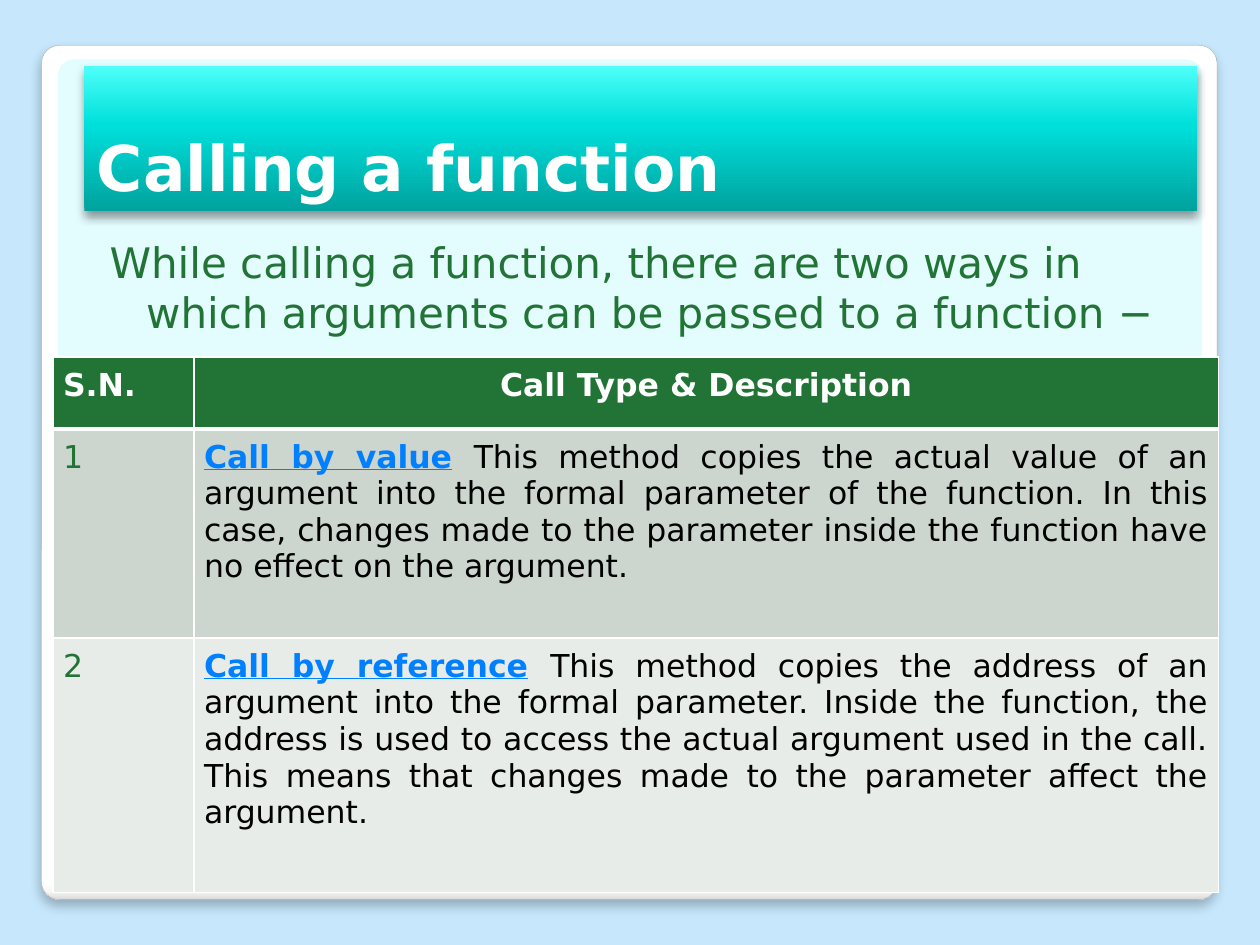
from lxml import etree
from pptx import Presentation, util as u
from pptx.dml.color import RGBColor
from pptx.enum import shapes, text
from pptx.oxml import ns

W, H = u.Inches(10), u.Inches(7.5)
FONT = "DejaVu Sans"
SKY = RGBColor(0xC6, 0xE7, 0xFC)
WHITE = RGBColor(0xFF, 0xFF, 0xFF)
BLACK = RGBColor(0, 0, 0)
GREEN = RGBColor(0x21, 0x74, 0x35)
LINK = RGBColor(0x00, 0x80, 0xFF)
EDGE = RGBColor(0xA4, 0xA4, 0xA4)
ICE = RGBColor(0xC9, 0xFA, 0xFC)
BANDS = [RGBColor(0xCC, 0xD6, 0xCE), RGBColor(0xE8, 0xEC, 0xE8)]
FRAME_STOPS = [(0, WHITE), (98, WHITE), (99, RGBColor(0xF7, 0xF7, 0xF7)),
               (100, RGBColor(0xDA, 0xDA, 0xDA))]
BANNER_STOPS = [(0, RGBColor(0x00, 0xA2, 0x9E)), (60, RGBColor(0x00, 0xE0, 0xDB)),
                (100, RGBColor(0x4E, 0xFF, 0xF9))]

COLS = [1.12, 8.13]
ROWS = [0.57, 1.66, 2.02]
HEADERS = ["S.N.", "Call Type & Description"]
CALLS = [
    ("Call by value",
     "This method copies the actual value of an argument into the formal parameter "
     "of the function. In this case, changes made to the parameter inside the "
     "function have no effect on the argument."),
    ("Call by reference",
     "This method copies the address of an argument into the formal parameter. "
     "Inside the function, the address is used to access the actual argument used "
     "in the call. This means that changes made to the parameter affect the argument."),
]


def box(x, y, w, h):
    """Turn shares of the slide's size into left, top, width, height."""
    return int(x * W), int(y * H), int(w * W), int(h * H)


def sub(parent, tag, **attrs):
    e = etree.SubElement(parent, ns.qn(tag))
    for name, value in attrs.items():
        e.set(name, str(value))
    return e


def add_panel(s, kind, place, radius=None):
    sp = s.shapes.add_shape(kind, *box(*place))
    if radius is not None:
        sp.adjustments[0] = radius
    sp.line.fill.background()
    sp.shadow.inherit = False
    return sp


def fill_gradient(sp, stops, angle):
    """Fill with (percent, colour) stops; the angle runs counter-clockwise."""
    sp.fill.gradient()
    sp.fill.gradient_angle = angle
    gs_list = sp._element.spPr.find(".//" + ns.qn("a:gsLst"))
    for gs in list(gs_list):
        gs_list.remove(gs)
    for percent, colour in stops:
        gs = sub(gs_list, "a:gs", pos=percent * 1000)
        sub(gs, "a:srgbClr", val=colour)


def drop_shadow(sp, alpha, blur, dist):
    effects = sp._element.spPr.find(ns.qn("a:effectLst"))
    shadow = sub(effects, "a:outerShdw", blurRad=u.Pt(blur), dist=u.Pt(dist),
                 dir=90 * 60000, algn="t", rotWithShape=0)
    sub(sub(shadow, "a:srgbClr", val=BLACK), "a:alpha", val=alpha * 1000)


def add_run(p, words, size, colour, bold=False, underline=False):
    r = p.add_run()
    r.text = words
    f = r.font
    f.name, f.size, f.bold, f.underline = FONT, u.Pt(size), bold, underline
    f.color.rgb = colour


def add_text(s, place, words, size, colour, bold=False):
    tf = s.shapes.add_textbox(*box(*place)).text_frame
    tf.word_wrap = True
    add_run(tf.paragraphs[0], words, size, colour, bold)
    return tf


def style_cell(cell, fill, top, bottom):
    """Set fill, insets and white borders; top and bottom are line widths."""
    cell.margin_left = cell.margin_right = u.Inches(0.08)
    cell.margin_top = cell.margin_bottom = u.Inches(0.08)
    pr = cell._tc.get_or_add_tcPr()
    for tag, width in (("a:lnL", 1), ("a:lnR", 1), ("a:lnT", top), ("a:lnB", bottom)):
        sub(sub(sub(pr, tag, w=u.Pt(width)), "a:solidFill"), "a:srgbClr", val=WHITE)
    cell.fill.solid()
    cell.fill.fore_color.rgb = fill


def add_call_table(s, place):
    table = s.shapes.add_table(len(ROWS), len(COLS), *box(*place)).table
    table.horz_banding = False
    for col, width in zip(table.columns, COLS):
        col.width = u.Inches(width)
    for row, height in zip(table.rows, ROWS):
        row.height = u.Inches(height)

    for i, words in enumerate(HEADERS):
        cell = table.cell(0, i)
        style_cell(cell, GREEN, 1, 3)
        add_run(cell.text_frame.paragraphs[0], words, 18, WHITE, bold=True)
    table.cell(0, 1).text_frame.paragraphs[0].alignment = text.PP_ALIGN.CENTER

    for n, ((name, description), band) in enumerate(zip(CALLS, BANDS), 1):
        number, detail = table.cell(n, 0), table.cell(n, 1)
        for cell in (number, detail):
            style_cell(cell, band, 3 if n == 1 else 1, 1)
        add_run(number.text_frame.paragraphs[0], str(n), 18, GREEN)
        p = detail.text_frame.paragraphs[0]
        p.alignment = text.PP_ALIGN.JUSTIFY
        add_run(p, name, 18, LINK, bold=True, underline=True)
        add_run(p, " ", 18, BLACK, bold=True)
        add_run(p, description, 18, BLACK)


def add_backdrop(s):
    s.background.fill.solid()
    s.background.fill.fore_color.rgb = SKY
    rounded = shapes.MSO_SHAPE.ROUNDED_RECTANGLE

    frame = add_panel(s, rounded, (0.033, 0.048, 0.933, 0.904), 0.021)
    fill_gradient(frame, FRAME_STOPS, 270)
    frame.line.color.rgb = EDGE
    frame.line.width = u.Pt(0.16)
    drop_shadow(frame, 25, 6, 4)

    inner = add_panel(s, rounded, (0.046, 0.063, 0.908, 0.8), 0.021)
    inner.fill.solid()
    inner.fill.fore_color.rgb = ICE
    colour = inner._element.spPr.find(ns.qn("a:solidFill"))[0]
    sub(colour, "a:alpha", val=50000)

    banner = add_panel(s, shapes.MSO_SHAPE.RECTANGLE, (0.067, 0.07, 0.883, 0.153))
    fill_gradient(banner, BANNER_STOPS, 90)
    drop_shadow(banner, 40, 5.2, 3)


def add_intro(s):
    tf = add_text(s, (0.067, 0.237, 0.895, 0.61),
                  "While calling a function, there are two ways in which arguments "
                  "can be passed to a function −", 24, GREEN)
    tf.margin_left, tf.margin_top = u.Inches(0.2), u.Inches(0.1)
    p = tf.paragraphs[0]
    p.space_before = u.Pt(2.5)
    pr = p._p.get_or_add_pPr()
    pr.set("marL", str(u.Inches(0.29)))
    pr.set("indent", str(-u.Inches(0.29)))


def main():
    prs = Presentation()
    prs.slide_width, prs.slide_height = W, H
    s = prs.slides.add_slide(prs.slide_layouts[6])
    add_backdrop(s)
    title = add_text(s, (0.067, 0.07, 0.895, 0.153), "Calling a function", 36, WHITE, True)
    title.vertical_anchor = text.MSO_ANCHOR.BOTTOM
    add_intro(s)
    add_call_table(s, (0.042, 0.378, 0.925, 0.567))
    prs.save("out.pptx")


if __name__ == "__main__":
    main()
